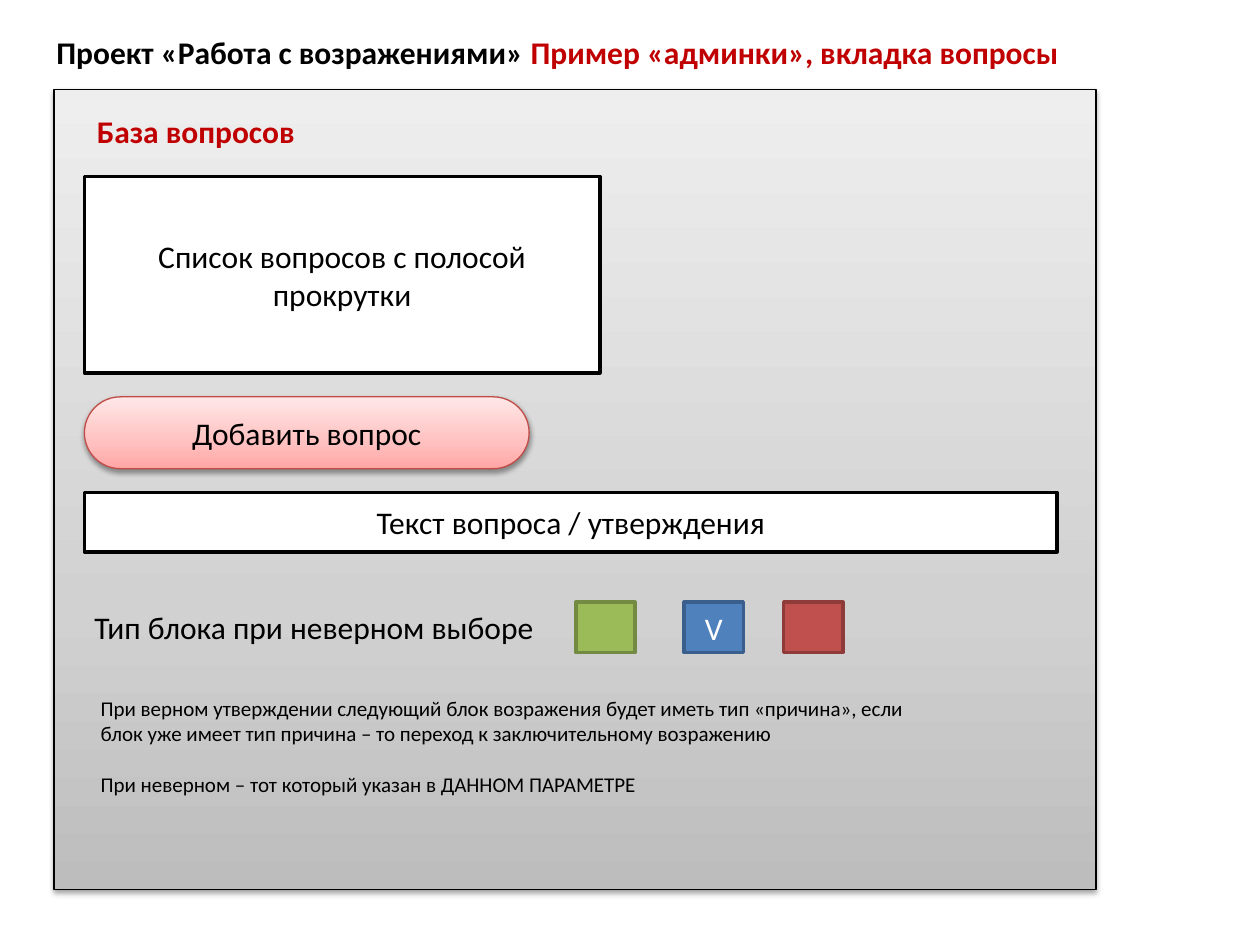
from dataclasses import dataclass

from lxml import etree
from pptx import Presentation
from pptx.dml.color import RGBColor
from pptx.enum.shapes import MSO_SHAPE
from pptx.enum.text import MSO_ANCHOR, PP_ALIGN
from pptx.oxml.ns import qn
from pptx.util import Inches, Pt

RECT, ROUND = MSO_SHAPE.RECTANGLE, MSO_SHAPE.ROUNDED_RECTANGLE
LEFT, CENTER = PP_ALIGN.LEFT, PP_ALIGN.CENTER
MIDDLE = MSO_ANCHOR.MIDDLE


@dataclass(frozen=True)
class Theme:
    font: str = "Calibri"
    body: int = 18
    small: int = 12
    thin: float = 0.75
    thick: float = 2
    black: str = "000000"
    white: str = "FFFFFF"
    red: str = "C00000"
    rose: str = "BF4C48"
    grays: tuple[str, ...] = ("BDBDBD", "D1D1D1", "EEEEEE")
    pinks: tuple[str, ...] = ("FFA6A5", "FFC0BF", "FFE7E7")


THEME = Theme()


@dataclass(frozen=True)
class Box:
    left: float
    top: float
    width: float
    height: float

    def emu(self) -> tuple:
        return tuple(map(Inches, (self.left, self.top, self.width, self.height)))


@dataclass(frozen=True)
class Panel:
    box: Box
    fill: str | tuple[str, ...] = THEME.white
    line: str = THEME.black
    weight: float = THEME.thick
    text: str = ""
    ink: str = THEME.black
    kind: MSO_SHAPE = RECT


@dataclass(frozen=True)
class Label:
    box: Box
    lines: tuple[str, ...]
    size: int = THEME.body
    ink: str = THEME.black
    bold: bool = False


def style(para, size: int, ink: str, bold: bool = False, align=LEFT) -> None:
    font = para.font
    font.name, font.size, font.bold = THEME.font, Pt(size), bold
    font.color.rgb = RGBColor.from_string(ink)
    para.alignment = align


def add_node(parent, tag: str, **attrs):
    return etree.SubElement(parent, qn(tag), attrs)


def shade(shape, tones: tuple[str, ...]) -> None:
    """Fill from bottom to top with three tones."""
    shape.fill.gradient()
    shape.fill.gradient_angle = 90
    stops = shape.element.spPr.find(qn("a:gradFill")).find(qn("a:gsLst"))
    for stop in list(stops):
        stops.remove(stop)
    for place, tone in zip((0, 35, 100), tones):
        stop = add_node(stops, "a:gs", pos=str(place * 1000))
        add_node(stop, "a:srgbClr", val=tone)


def cast_shadow(shape) -> None:
    effects = shape.element.spPr.find(qn("a:effectLst"))
    shadow = add_node(effects, "a:outerShdw", blurRad=str(Pt(3.1)),
                      dist=str(Pt(1.6)), dir="5400000", rotWithShape="0")
    color = add_node(shadow, "a:srgbClr", val=THEME.black)
    add_node(color, "a:alpha", val="38000")


def draw_panel(slide, panel: Panel) -> None:
    shape = slide.shapes.add_shape(panel.kind, *panel.box.emu())
    shape.shadow.inherit = False
    if panel.kind == ROUND:
        shape.adjustments[0] = 0.5
    shape.line.color.rgb = RGBColor.from_string(panel.line)
    shape.line.width = Pt(panel.weight)
    if isinstance(panel.fill, tuple):
        shade(shape, panel.fill)
        cast_shadow(shape)
    else:
        shape.fill.solid()
        shape.fill.fore_color.rgb = RGBColor.from_string(panel.fill)
    if panel.text:
        frame = shape.text_frame
        frame.word_wrap, frame.vertical_anchor = True, MIDDLE
        frame.text = panel.text
        style(frame.paragraphs[0], THEME.body, panel.ink, align=CENTER)


def draw_label(slide, label: Label):
    frame = slide.shapes.add_textbox(*label.box.emu()).text_frame
    frame.word_wrap = True
    frame.text = "\n".join(label.lines)
    for para in frame.paragraphs:
        style(para, label.size, label.ink, label.bold)
    for para in frame.paragraphs[1:]:
        para.space_before = Pt(label.size * 1.2)
    return frame


EDGE = 0.67
ROW = 4.78

TITLE = Label(Box(0.35, 0.21, 9.13, 0.4), ("Проект «Работа с возражениями» ",), bold=True)

PANELS = (
    Panel(Box(0.43, 0.71, 8.27, 6.35), THEME.grays, weight=THEME.thin),
    Panel(Box(EDGE, 1.4, 4.09, 1.56), text="Список вопросов с полосой прокрутки"),
    Panel(Box(EDGE, 3.15, 3.53, 0.57), THEME.pinks, THEME.rose, THEME.thin,
          "Добавить вопрос", kind=ROUND),
    Panel(Box(EDGE, 3.91, 7.72, 0.47), text="Текст вопроса / утверждения"),
)

# Choices: left, fill, line, mark
CHOICES = (
    (4.57, "9BBB59", "738A42", ""),
    (5.43, "4F81BD", "3A5F8C", "V"),
    (6.22, "C0504D", "8E3B39", ""),
)

LABELS = (
    Label(Box(EDGE, 0.84, 3.78, 0.4), ("База вопросов",), ink=THEME.red, bold=True),
    Label(Box(0.65, ROW, 3.75, 0.4), ("Тип блока при неверном выборе",)),
    Label(Box(0.7, 5.47, 6.58, 0.91), (
        "При верном утверждении следующий блок возражения будет иметь тип «причина», "
        "если блок уже имеет тип причина – то переход к заключительному возражению",
        "При неверном – тот который указан в ДАННОМ ПАРАМЕТРЕ",
    ), THEME.small),
)


def main() -> None:
    deck = Presentation()
    deck.slide_width, deck.slide_height = Inches(10), Inches(7.5)
    slide = deck.slides.add_slide(deck.slide_layouts[6])

    # Title in two colours
    run = draw_label(slide, TITLE).paragraphs[0].add_run()
    run.text = "Пример «админки», вкладка вопросы"
    run.font.color.rgb = RGBColor.from_string(THEME.red)

    # Form and its fields
    for panel in PANELS:
        draw_panel(slide, panel)

    # Block type choices
    for left, fill, line, mark in CHOICES:
        draw_panel(slide, Panel(Box(left, ROW, 0.47, 0.4), fill, line,
                                text=mark, ink=THEME.white))

    # Captions and notes
    for label in LABELS:
        draw_label(slide, label)

    deck.save("out.pptx")


if __name__ == "__main__":
    main()
